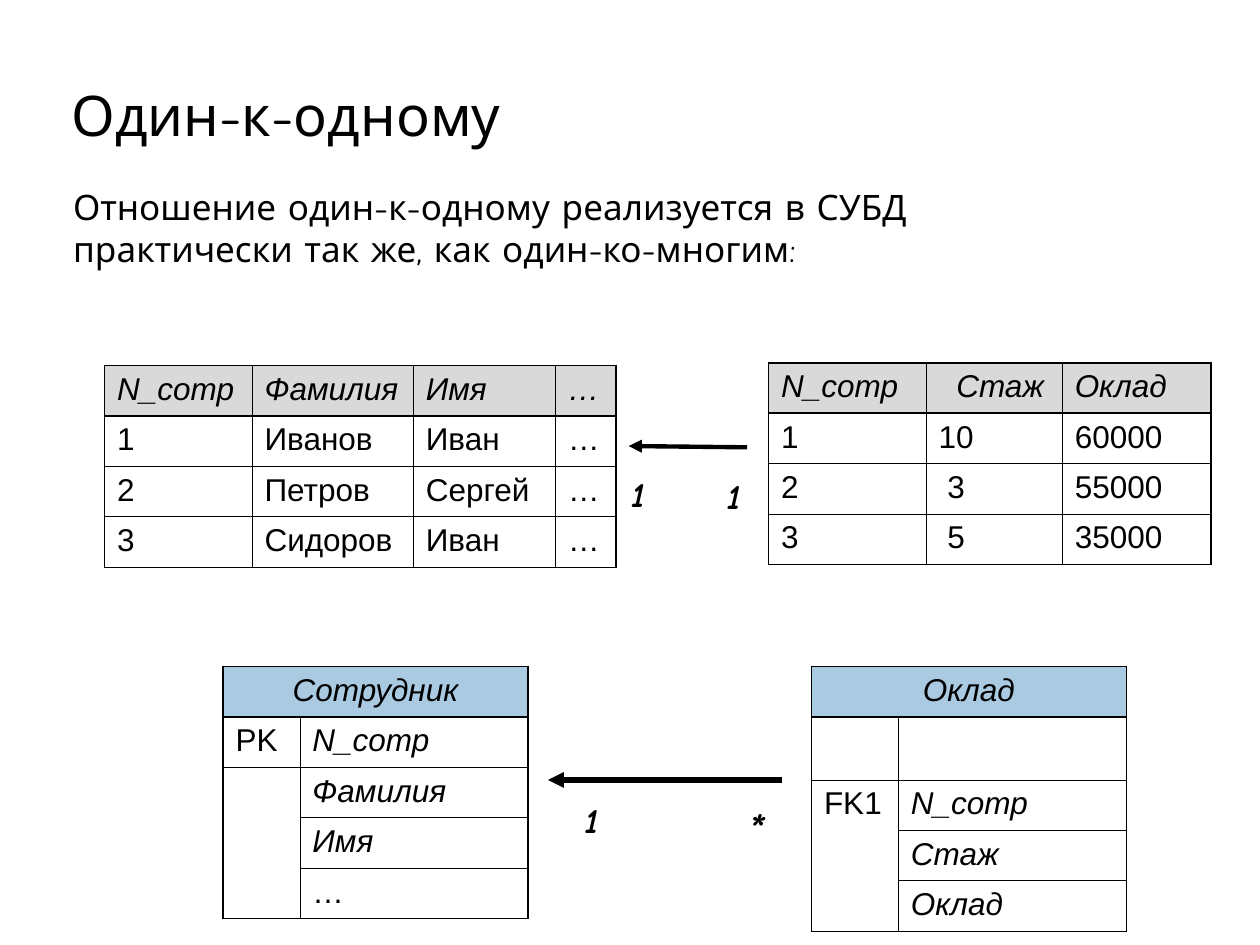
from lxml import etree
from pptx import Presentation
from pptx.dml.color import RGBColor
from pptx.enum.shapes import MSO_CONNECTOR
from pptx.enum.text import MSO_ANCHOR, MSO_AUTO_SIZE, PP_ALIGN
from pptx.oxml.ns import qn
from pptx.util import Inches, Pt

LINE = MSO_CONNECTOR.STRAIGHT
LEFT, CENTER = PP_ALIGN.LEFT, PP_ALIGN.CENTER
TOP, MIDDLE = MSO_ANCHOR.TOP, MSO_ANCHOR.MIDDLE
FIT, FIXED = MSO_AUTO_SIZE.SHAPE_TO_FIT_TEXT, MSO_AUTO_SIZE.NONE
BLACK = RGBColor(0x00, 0x00, 0x00)
GRAY = RGBColor(0xD9, 0xD9, 0xD9)
BLUE = RGBColor(0xAA, 0xCA, 0xE2)
THICK, THIN = Pt(1.08), Pt(0.45)
HAND, SANS = "Comic Neue", "Arial"


def style(para, face, size, bold=False, italic=False):
    font = para.font
    font.name, font.size = face, Pt(size)
    font.bold, font.italic = bold, italic
    font.color.rgb = BLACK


def add_grid(left, top, widths, heights, rows, fill, merges, slanted, indents):
    box = slide.shapes.add_table(
        len(rows), len(widths), Inches(left), Inches(top),
        Inches(sum(widths)), Inches(sum(heights)))
    table = box.table
    for col, width in zip(table.columns, widths):
        col.width = Inches(width)
    for row, height in zip(table.rows, heights):
        row.height = Inches(height)
    for first, last in merges:
        table.cell(*first).merge(table.cell(*last))
    for r, texts in enumerate(rows):
        for c, text in enumerate(texts):
            cell = table.cell(r, c)
            cell.text = text
            cell.margin_left = Inches(0.1 + indents.get((r, c), 0))
            para = cell.text_frame.paragraphs[0]
            para.alignment = CENTER if cell.is_merge_origin and r == 0 else LEFT
            style(para, SANS, 18, italic=r == 0 or (r, c) in slanted)
            end = c + (cell.span_width if cell.is_merge_origin else 1)
            edges = {
                "L": c == 0,
                "R": end == len(widths),
                "T": r < 2,
                "B": r == 0,
            }
            props = cell._tc.get_or_add_tcPr()
            for side, strong in edges.items():
                line = etree.SubElement(
                    props, qn("a:ln" + side), w=str(THICK if strong else THIN))
                solid = etree.SubElement(line, qn("a:solidFill"))
                etree.SubElement(solid, qn("a:srgbClr"), val=str(BLACK))
            if r == 0:
                cell.fill.solid()
                cell.fill.fore_color.rgb = fill
            else:
                cell.fill.background()


deck = Presentation()
deck.slide_width, deck.slide_height = Inches(10), Inches(7.5)
slide = deck.slides.add_slide(deck.slide_layouts[1])

title, body = slide.placeholders
holders = [
    (title, "Один-к-одному", 32, MIDDLE, (0.47, 0.28, 6.39, 1.25)),
    (body, "Отношение один-к-одному реализуется в СУБД "
     "практически так же, как один-ко-многим:", 20, TOP, (0.48, 1.42, 8.3, 1.38)),
]
for shape, text, size, anchor, place in holders:
    shape.left, shape.top, shape.width, shape.height = map(Inches, place)
    frame = shape.text_frame
    frame.text = text
    frame.word_wrap = True
    frame.auto_size = FIXED
    frame.vertical_anchor = anchor
    para = frame.paragraphs[0]
    para.alignment = LEFT
    para.space_before = Pt(0)
    props = para._p.get_or_add_pPr()
    props.set("marL", "0")
    props.set("indent", "0")
    etree.SubElement(props, qn("a:buNone"))
    style(para, HAND, size)

staff = [
    ["N_сотр", "Фамилия", "Имя", "…"],
    ["1", "Иванов", "Иван", "…"],
    ["2", "Петров", "Сергей", "…"],
    ["3", "Сидоров", "Иван", "…"],
]
wages = [
    ["N_сотр", "Стаж", "Оклад"],
    ["1", "10", "60000"],
    ["2", "3", "55000"],
    ["3", "5", "35000"],
]
person = [["Сотрудник", ""], ["PK", "N_сотр"], ["", "Фамилия"], ["", "Имя"], ["", "…"]]
salary = [["Оклад", ""], ["", ""], ["FK1", "N_сотр"], ["", "Стаж"], ["", "Оклад"]]
merges = [((0, 0), (0, 1)), ((2, 0), (4, 0))]
shifts = {(0, 1): 0.14, (2, 1): 0.07, (3, 1): 0.07}

add_grid(0.83, 2.9, [1.17, 1.28, 1.13, 0.48], [0.4] * 4, staff, GRAY, [], [], {})
add_grid(6.1, 2.88, [1.25, 1.08, 1.18], [0.4] * 4, wages, GRAY, [], [], shifts)
add_grid(1.77, 5.29, [0.61, 1.81], [0.4] * 5, person, BLUE, merges,
         [(1, 1), (2, 1), (3, 1)], {})
add_grid(6.44, 5.29, [0.69, 1.81], [0.4, 0.5, 0.4, 0.4, 0.4], salary, BLUE, merges,
         [(2, 1), (3, 1), (4, 1)], {})

arrows = [((5.93, 3.55, 4.99, 3.54), 2.5), ((6.21, 6.19, 4.35, 6.19), 3)]
for ends, width in arrows:
    arrow = slide.shapes.add_connector(LINE, *map(Inches, ends))
    arrow.line.color.rgb = BLACK
    arrow.line.width = Pt(width)
    etree.SubElement(arrow.line._get_or_add_ln(), qn("a:tailEnd"), type="triangle")
    etree.SubElement(arrow._element.spPr, qn("a:effectLst"))

marks = [
    ("1", 20, (4.91, 3.7, 0.31, 0.44)),
    ("1", 20, (5.67, 3.72, 0.31, 0.44)),
    ("1", 20, (4.54, 6.29, 0.31, 0.44)),
    ("*", 24, (5.84, 6.32, 0.32, 0.5)),
]
for text, size, place in marks:
    frame = slide.shapes.add_textbox(*map(Inches, place)).text_frame
    frame.text = text
    frame.word_wrap = False
    frame.auto_size = FIT
    para = frame.paragraphs[0]
    para.alignment = CENTER
    style(para, HAND, size, bold=True, italic=True)

deck.save("out.pptx")
